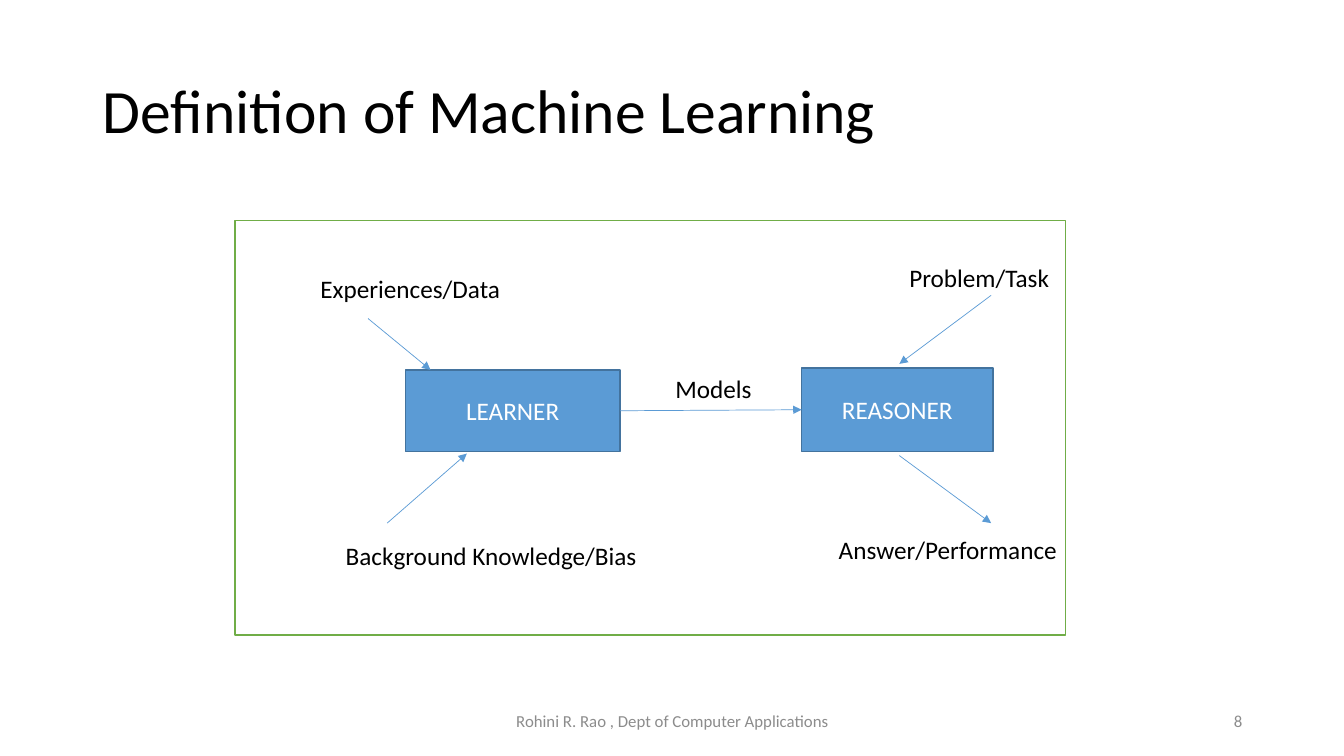
from lxml import etree
from pptx import Presentation
from pptx.dml.color import RGBColor
from pptx.enum.shapes import MSO_CONNECTOR, MSO_SHAPE
from pptx.enum.text import MSO_ANCHOR, MSO_AUTO_SIZE, PP_ALIGN
from pptx.oxml.ns import qn
from pptx.util import Pt

PX = 9144  # 100 px to the inch
STRAIGHT = MSO_CONNECTOR.STRAIGHT
RECT = MSO_SHAPE.RECTANGLE
MIDDLE, TOP = MSO_ANCHOR.MIDDLE, MSO_ANCHOR.TOP
LEFT, CENTER, RIGHT = PP_ALIGN.LEFT, PP_ALIGN.CENTER, PP_ALIGN.RIGHT
FIT_SHAPE, NO_FIT = MSO_AUTO_SIZE.SHAPE_TO_FIT_TEXT, MSO_AUTO_SIZE.NONE

BLACK = RGBColor(0x00, 0x00, 0x00)
WHITE = RGBColor(0xFF, 0xFF, 0xFF)
GRAY = RGBColor(0x8C, 0x8C, 0x8C)
GREEN = RGBColor(0x70, 0xAD, 0x47)
BLUE = RGBColor(0x5B, 0x9B, 0xD5)
DARK_BLUE = RGBColor(0x43, 0x73, 0x9E)


def write(sp, text, size, color, align=LEFT, anchor=MIDDLE):
    tf = sp.text_frame
    tf.vertical_anchor = anchor
    p = tf.paragraphs[0]
    p.alignment = align
    r = p.add_run()
    r.text = text
    r.font.name = "Calibri"
    r.font.size = Pt(size)
    r.font.color.rgb = color
    return tf


def add_box(x, y, w, h, fill, line):
    sp = s.shapes.add_shape(RECT, x * PX, y * PX, w * PX, h * PX)
    sp.shadow.inherit = False
    sp.fill.solid()
    sp.fill.fore_color.rgb = fill
    sp.line.color.rgb = line
    sp.line.width = Pt(1)
    return sp


prs = Presentation()
prs.slide_width, prs.slide_height = 1333 * PX, 750 * PX
s = prs.slides.add_slide(prs.slide_layouts[5])

title = s.shapes.title
title.left, title.top, title.width, title.height = 92 * PX, 40 * PX, 1150 * PX, 145 * PX
tf = write(title, "Definition of Machine Learning", 44, BLACK)
tf.auto_size = NO_FIT
tf.paragraphs[0].line_spacing = 0.9

# Footer and slide number
for text, x, w, align in [
    ("Rohini R. Rao , Dept of Computer Applications", 442, 450, CENTER),
    ("8", 942, 300, RIGHT),
]:
    sp = s.shapes.add_textbox(x * PX, 695 * PX, w * PX, 40 * PX)
    write(sp, text, 12, GRAY, align).word_wrap = True

# Frame and the two stages
add_box(233, 219, 824, 411, WHITE, GREEN)
learner = add_box(402, 367, 213, 81, BLUE, DARK_BLUE)
reasoner = add_box(795, 365, 190, 83, BLUE, DARK_BLUE)
write(learner, "LEARNER", 18, WHITE, CENTER)
write(reasoner, "REASONER", 18, WHITE, CENTER)

# Arrows: into the learner, between the stages, into and out of the reasoner
arrows = []
for x1, y1, x2, y2 in [
    (365, 316, 427, 367),
    (384, 519, 463, 450),
    (615, 407, 795, 407),
    (983, 293, 892, 361),
    (892, 452, 983, 519),
]:
    arrow = s.shapes.add_connector(STRAIGHT, x1 * PX, y1 * PX, x2 * PX, y2 * PX)
    arrow.line.color.rgb = BLUE
    arrow.line.width = Pt(0.5)
    etree.SubElement(arrow.line._get_or_add_ln(), qn("a:tailEnd"), type="triangle")
    etree.SubElement(arrow._element.spPr, qn("a:effectLst"))
    arrows.append(arrow)
models_arrow = arrows[2]
models_arrow.begin_connect(learner, 3)
models_arrow.end_connect(reasoner, 1)

for text, x, y, w in [
    ("Experiences/Data", 308, 266, 200),
    ("Background Knowledge/Bias", 333, 531, 312),
    ("Models", 660, 365, 97),
    ("Problem/Task", 892, 255, 160),
    ("Answer/Performance", 822, 525, 239),
]:
    sp = s.shapes.add_textbox(x * PX, y * PX, w * PX, 40 * PX)
    tf = write(sp, text, 18, BLACK, anchor=TOP)
    tf.word_wrap = False
    tf.auto_size = FIT_SHAPE

prs.save("out.pptx")
